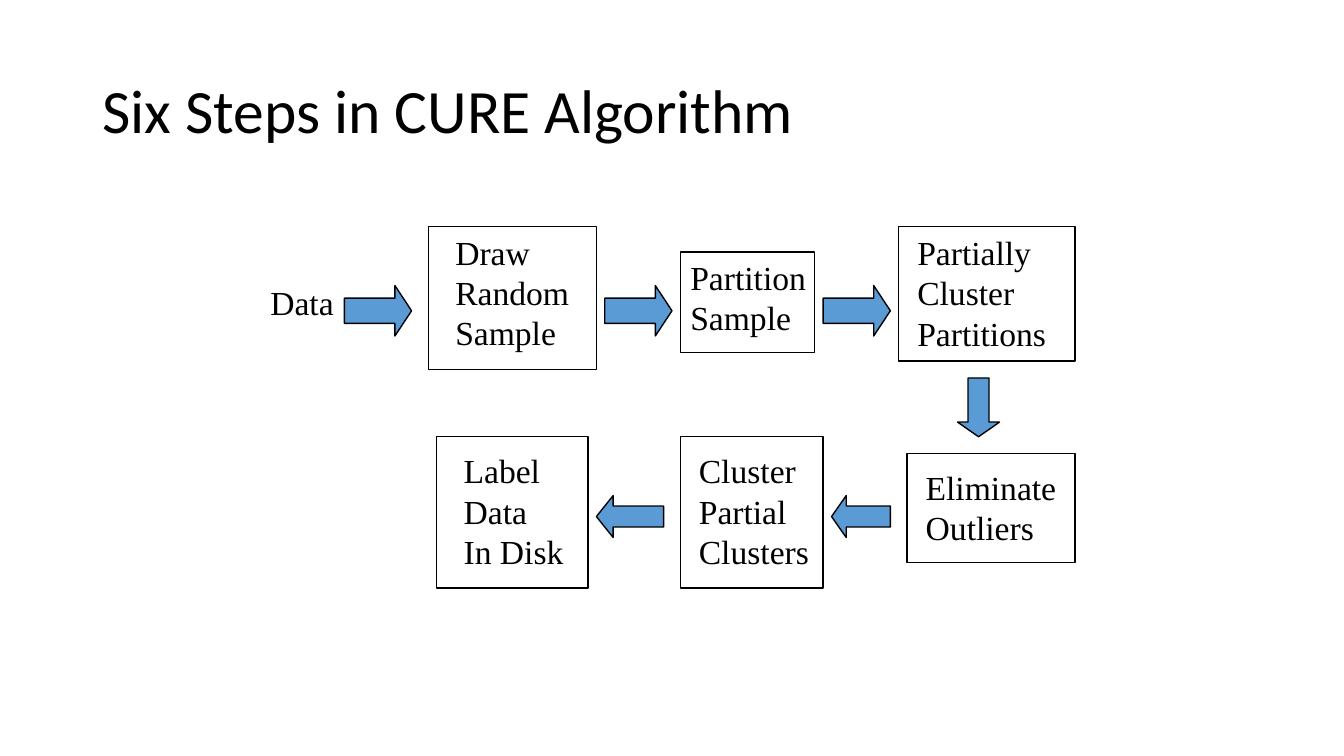
import pptx
import pptx.util
import pptx.dml.color
import pptx.enum.shapes
import pptx.enum.text
from dataclasses import dataclass

Pt = pptx.util.Pt
SHAPE = pptx.enum.shapes.MSO_SHAPE
ANCHOR = pptx.enum.text.MSO_ANCHOR
ALIGN = pptx.enum.text.PP_ALIGN


@dataclass(frozen=True)
class Theme:
    ink: str = "000000"
    arrow: str = "5B9BD5"
    title_font: str = "Calibri"
    body_font: str = "Times New Roman"
    title_size: int = 44
    body_size: int = 24
    line: int = 1


THEME = Theme()

# Steps: left, top, width, height, left inset, top inset, paragraphs
STEPS = [
    (120, 0, 120, 102, 19.2, 3.6, "Draw Random Sample"),
    (300, 18, 96, 72, 7.2, 3.6, "Partition\nSample"),
    (456, 0, 126, 96, 13.2, 3.6, "Partially\nCluster\nPartitions"),
    (462, 162, 120, 78, 13.2, 9.6, "Eliminate\nOutliers"),
    (300, 150, 102, 108, 13.2, 9.6, "Cluster\nPartial\nClusters"),
    (126, 150, 108, 108, 19.2, 9.6, "Label\nData\nIn Disk"),
]

# Arrows: shape, left, top, width, height, head length relative to the short side
ARROWS = [
    *[(SHAPE.RIGHT_ARROW, x, 42, 48, 36, 0.33) for x in (60, 246, 402)],
    (SHAPE.DOWN_ARROW, 498, 108, 30, 42, 0.35),
    (SHAPE.LEFT_ARROW, 408, 192, 42, 30, 0.35),
    (SHAPE.LEFT_ARROW, 240, 192, 48, 30, 0.4),
]


def rgb(value):
    return pptx.dml.color.RGBColor.from_string(value)


def set_text(tf, text, font, size):
    tf.text = text
    for p in tf.paragraphs:
        p.alignment = ALIGN.LEFT
        for r in p.runs:
            r.font.name = font
            r.font.size = Pt(size)
            r.font.color.rgb = rgb(THEME.ink)


def outlined(s, kind, left, top, width, height):
    sp = s.shapes.add_shape(kind, Pt(left), Pt(top), Pt(width), Pt(height))
    sp.shadow.inherit = False
    sp.line.color.rgb = rgb(THEME.ink)
    sp.line.width = Pt(THEME.line)
    return sp


def add_title(s, left, top, width, height):
    sp = s.shapes.title
    sp.left, sp.top, sp.width, sp.height = Pt(left), Pt(top), Pt(width), Pt(height)
    tf = sp.text_frame
    tf.vertical_anchor = ANCHOR.MIDDLE
    set_text(tf, "Six Steps in CURE Algorithm", THEME.title_font, THEME.title_size)
    tf.paragraphs[0].line_spacing = 0.9


def add_flow(s, left, top):
    # Input label
    sp = s.shapes.add_textbox(Pt(left), Pt(top + 36), Pt(60), Pt(36))
    sp.text_frame.word_wrap = False
    set_text(sp.text_frame, "Data", THEME.body_font, THEME.body_size)

    # Step boxes
    for x, y, width, height, inset_x, inset_y, text in STEPS:
        sp = outlined(s, SHAPE.RECTANGLE, left + x, top + y, width, height)
        sp.fill.background()
        tf = sp.text_frame
        tf.word_wrap = True
        tf.vertical_anchor = ANCHOR.TOP
        tf.margin_left, tf.margin_top = Pt(inset_x), Pt(inset_y)
        tf.margin_right = tf.margin_bottom = Pt(0)
        set_text(tf, text, THEME.body_font, THEME.body_size)

    # Arrows between steps
    for kind, x, y, width, height, head in ARROWS:
        sp = outlined(s, kind, left + x, top + y, width, height)
        sp.fill.solid()
        sp.fill.fore_color.rgb = rgb(THEME.arrow)
        sp.adjustments[0] = 0.5
        sp.adjustments[1] = head


def main():
    prs = pptx.Presentation()
    prs.slide_width, prs.slide_height = Pt(960), Pt(540)
    s = prs.slides.add_slide(prs.slide_layouts[5])
    add_title(s, 66, 28.8, 828, 104.4)
    add_flow(s, 186, 162)
    prs.save("out.pptx")


if __name__ == "__main__":
    main()
